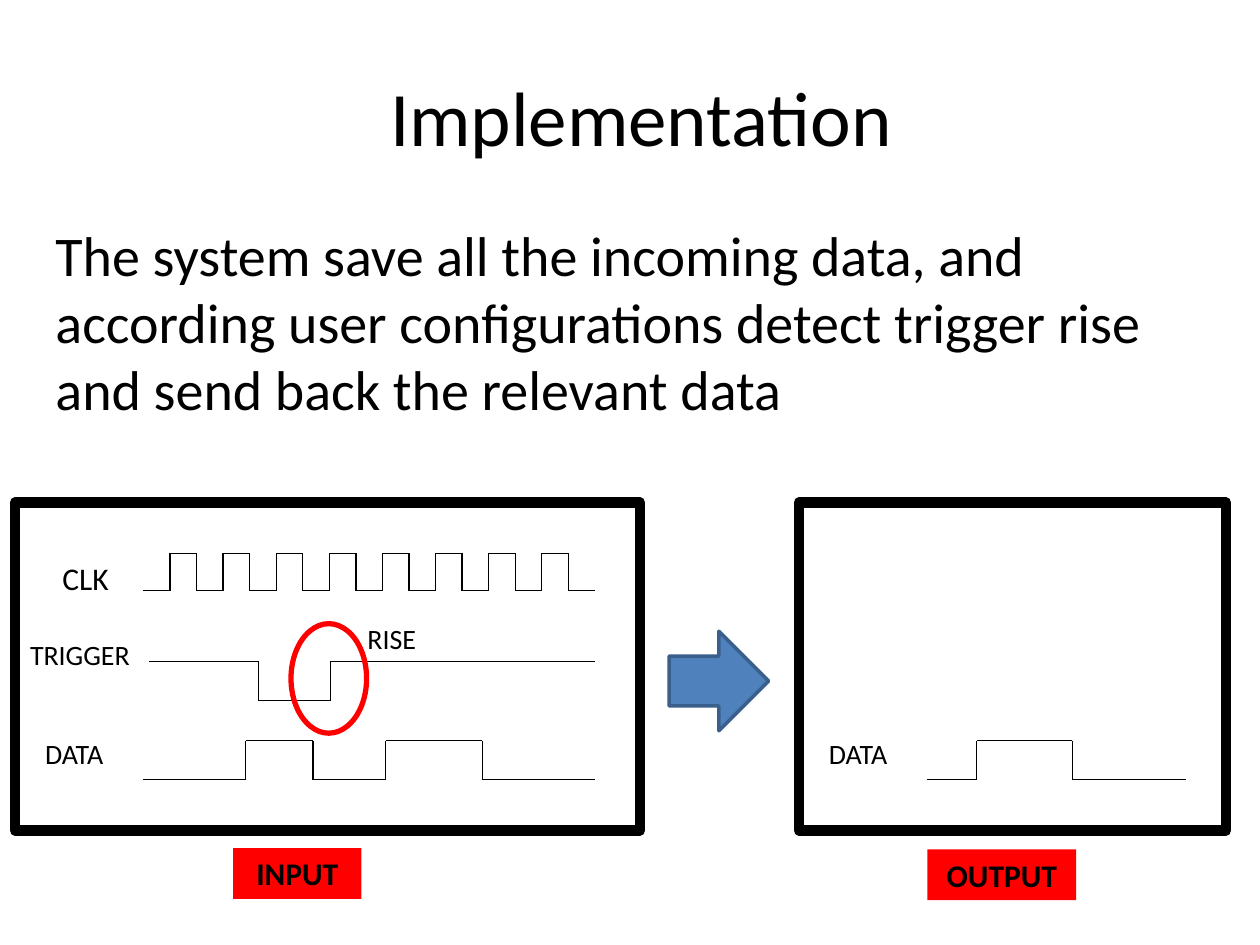
"""Build the Implementation slide with its input and output timing diagrams."""
import dataclasses
import itertools

import lxml.etree
import pptx
import pptx.dml.color
import pptx.enum.shapes
import pptx.enum.text
import pptx.oxml.ns
import pptx.util

Pt = pptx.util.Pt
SHAPE = pptx.enum.shapes.MSO_SHAPE
ANCHOR = pptx.enum.text.MSO_ANCHOR
CENTER = pptx.enum.text.PP_ALIGN.CENTER
LEFT = pptx.enum.text.PP_ALIGN.LEFT
RGB = pptx.dml.color.RGBColor.from_string
qn = pptx.oxml.ns.qn


@dataclasses.dataclass(frozen=True)
class Theme:
    font: str = "Calibri"
    ink: str = "000000"
    accent: str = "FF0000"
    arrow: str = "4F81BD"
    arrow_edge: str = "3A5F8C"
    title: int = 44
    body: int = 32
    label: int = 18
    small: int = 16


theme = Theme()


def write(holder, text, size, align, anchor, bold=False):
    frame = holder.text_frame
    frame.text = text
    frame.word_wrap = True
    frame.vertical_anchor = anchor
    paragraph = frame.paragraphs[0]
    paragraph.alignment = align
    font = paragraph.runs[0].font
    font.name, font.size, font.bold = theme.font, Pt(size), bold
    font.color.rgb = RGB(theme.ink)


def draw_shape(kind, box, fill=None, edge=None, weight=0):
    shape = slide.shapes.add_shape(kind, *map(Pt, box))
    shape.shadow.inherit = False
    for paint, color in ((shape.fill, fill), (shape.line.fill, edge)):
        if color:
            paint.solid()
            paint.fore_color.rgb = RGB(color)
        else:
            paint.background()
    if edge:
        shape.line.width = Pt(weight)
    return shape


deck = pptx.Presentation()
deck.slide_width, deck.slide_height = Pt(720), Pt(540)
slide = deck.slides.add_slide(deck.slide_layouts[1])

title = slide.shapes.title
title.left, title.top, title.width, title.height = map(Pt, (42.5, 21, 648, 90))
write(title, "Implementation", theme.title, CENTER, ANCHOR.MIDDLE)

summary = slide.placeholders[1]
summary.left, summary.top, summary.width, summary.height = map(Pt, (24.5, 122.4, 648, 180))
write(
    summary,
    "The system save all the incoming data, and according user configurations "
    "detect trigger rise and send back the relevant data",
    theme.body, LEFT, ANCHOR.TOP,
)
summary_format = summary.text_frame.paragraphs[0]._p.get_or_add_pPr()
summary_format.set("marL", "0")
summary_format.set("indent", "0")
lxml.etree.SubElement(summary_format, qn("a:buNone"))

for panel in ((8.6, 287.3, 357.1, 187.2), (456.5, 287.3, 244.1, 187.2)):
    draw_shape(SHAPE.RECTANGLE, panel, edge=theme.ink, weight=6)

signal_start, signal_end = 82, 339.9
half_period = (signal_end - signal_start) / 17
clock_edges = [signal_start + half_period * step for step in range(18)]
signals = (
    (clock_edges, (337.6, 316.2)),
    ((85.2, 147.8, 188.8, signal_end), (378, 400.4)),
    ((signal_start, 140.4, 178.8, 220.4, 275.6, signal_end), (445.6, 423.2)),
    ((530, 558.2, 612.8, 677.6), (445.6, 423.2)),
)
for edges, levels in signals:
    waveform = slide.shapes.add_group_shape()
    corners = [
        (x, level)
        for (start, end), level in zip(itertools.pairwise(edges), itertools.cycle(levels))
        for x in (start, end)
    ]
    for begin, finish in itertools.pairwise(corners):
        segment = waveform.shapes.add_connector(
            pptx.enum.shapes.MSO_CONNECTOR.STRAIGHT, *map(Pt, begin + finish))
        segment.line.color.rgb = RGB(theme.ink)
        segment.line.width = Pt(0.75)
        lxml.etree.SubElement(segment._element.spPr, qn("a:effectLst"))

draw_shape(SHAPE.OVAL, (166.3, 356.4, 43.2, 62.6), edge=theme.accent, weight=3)
draw_shape(SHAPE.RIGHT_ARROW, (382.3, 360.7, 56.9, 56.9), theme.arrow, theme.arrow_edge, 2)

labels = (
    ("CLK", theme.label, (15.1, 316.1, 67.7, 28.8)),
    ("TRIGGER", theme.small, (-2.2, 360.7, 95.8, 26.6)),
    ("DATA", theme.small, (8.6, 417.6, 67.7, 26.6)),
    ("DATA", theme.small, (456.5, 417.6, 67.7, 26.6)),
    ("RISE", theme.small, (195.8, 351.4, 56.2, 26.6)),
)
for text, size, box in labels:
    signal_label = slide.shapes.add_textbox(*map(Pt, box))
    write(signal_label, text, size, CENTER, ANCHOR.TOP)
    signal_label.text_frame.auto_size = pptx.enum.text.MSO_AUTO_SIZE.SHAPE_TO_FIT_TEXT

for text, box in (("INPUT", (133.2, 484.6, 73.4, 29)), ("OUTPUT", (530, 485.4, 85, 29))):
    caption = draw_shape(SHAPE.RECTANGLE, box, fill=theme.accent)
    write(caption, text, theme.label, CENTER, ANCHOR.TOP, bold=True)

deck.save("out.pptx")
